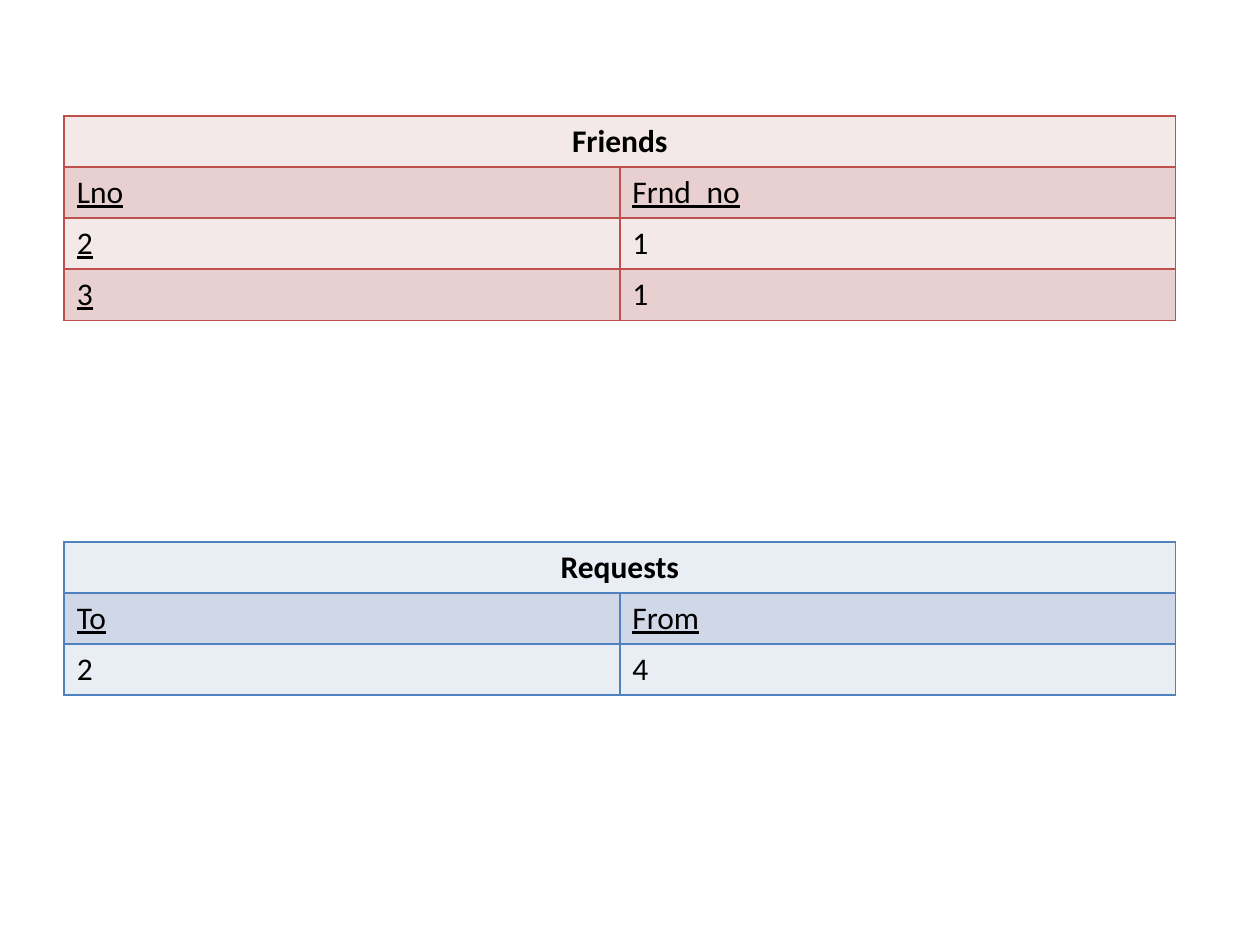
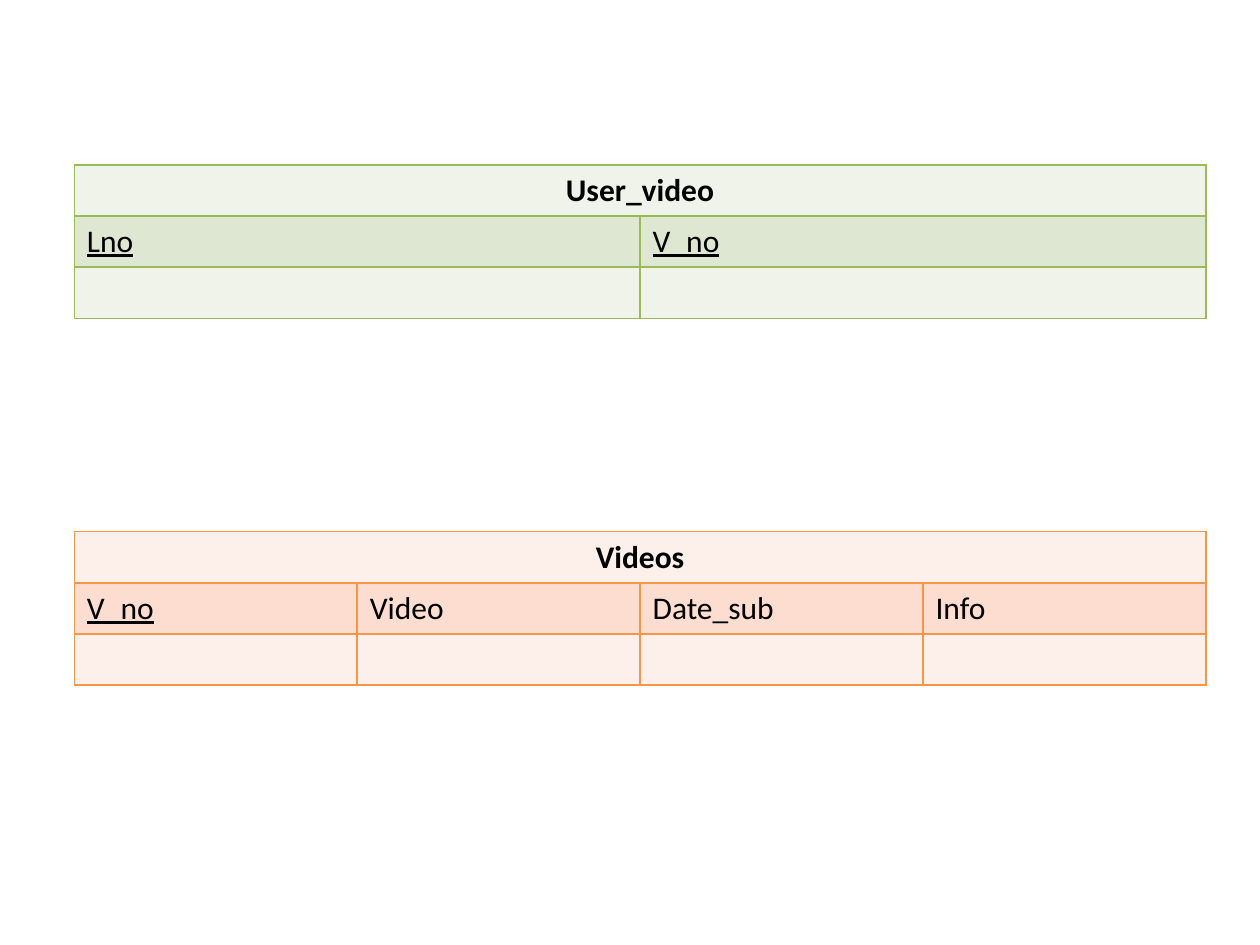
from dataclasses import dataclass

from lxml import etree
from pptx import Presentation
from pptx import util as u
from pptx.dml.color import RGBColor
from pptx.enum import text
from pptx.oxml.ns import qn


@dataclass(frozen=True)
class Palette:
    """Border, light band and dark band of one table."""
    border: str
    light: str
    dark: str


@dataclass(frozen=True)
class Theme:
    """Colours, type and measures shared by the slides."""
    red: Palette = Palette("C0504D", "F4E9E9", "E8D0D0")
    blue: Palette = Palette("4F81BD", "E9EDF4", "D0D8E8")
    green: Palette = Palette("9BBB59", "EFF3EA", "DEE7D1")
    orange: Palette = Palette("F79646", "FDEFE9", "FCDDCF")
    ink: str = "000000"
    font: str = "Calibri"
    size: int = 18
    row_height: float = 0.405
    border_width: int = 1


THEME = Theme()


def set_borders(cell, color):
    """Draw a solid line on all four sides of a cell."""
    tcPr = cell._tc.get_or_add_tcPr()
    for i, side in enumerate(("lnL", "lnR", "lnT", "lnB")):
        ln = etree.Element(qn(f"a:{side}"), w=str(u.Pt(THEME.border_width)))
        fill = etree.SubElement(ln, qn("a:solidFill"))
        etree.SubElement(fill, qn("a:srgbClr"), val=color)
        tcPr.insert(i, ln)


def write_cell(cell, value, **formats):
    """Write one run of text in the theme's type."""
    p = cell.text_frame.paragraphs[0]
    r = p.add_run()
    r.text = value
    formats = {"name": THEME.font, "size": u.Pt(THEME.size), **formats}
    for name, setting in formats.items():
        setattr(r.font, name, setting)
    r.font.color.rgb = RGBColor.from_string(THEME.ink)
    return p


def add_relation(s, box, title, rows, keys, palette):
    """Add a titled, banded table whose key cells are underlined."""
    left, top, width = box
    n_rows, n_cols = len(rows) + 1, len(rows[0])
    table = s.shapes.add_table(
        n_rows, n_cols, u.Inches(left), u.Inches(top),
        u.Inches(width), u.Inches(THEME.row_height * n_rows)).table
    for i, row in enumerate(table.rows):
        row.height = u.Inches(THEME.row_height)
        for cell in row.cells:
            cell.fill.solid()
            band = palette.dark if i % 2 else palette.light
            cell.fill.fore_color.rgb = RGBColor.from_string(band)
            set_borders(cell, palette.border)
    heading = table.cell(0, 0)
    heading.merge(table.cell(0, n_cols - 1))
    write_cell(heading, title, bold=True).alignment = text.PP_ALIGN.CENTER
    for i, values in enumerate(rows, 1):
        for j, value in enumerate(values):
            if value:
                write_cell(table.cell(i, j), value, bold=False,
                           underline=(i, j) in keys)


def add_social_slide(prs, left, width):
    """Build the slide of friends and requests."""
    s = prs.slides.add_slide(prs.slide_layouts[6])
    add_relation(s, (left, 0.92, width), "Friends",
                 [("Lno", "Frnd_no"), ("2", "1"), ("3", "1")],
                 {(1, 0), (1, 1), (2, 0), (3, 0)}, THEME.red)
    add_relation(s, (left, 4.3, width), "Requests",
                 [("To", "From"), ("2", "4")],
                 {(1, 0), (1, 1)}, THEME.blue)


def add_video_slide(prs, left, width):
    """Build the slide of users' videos and video details."""
    s = prs.slides.add_slide(prs.slide_layouts[6])
    add_relation(s, (left, 1.31, width), "User_video",
                 [("Lno", "V_no"), ("",) * 2],
                 {(1, 0), (1, 1)}, THEME.green)
    add_relation(s, (left, 4.22, width), "Videos",
                 [("V_no", "Video", "Date_sub", "Info"), ("",) * 4],
                 {(1, 0)}, THEME.orange)


def main():
    """Build and save the presentation."""
    prs = Presentation()
    prs.slide_width, prs.slide_height = u.Inches(10), u.Inches(7.5)
    add_social_slide(prs, 0.51, 8.82)
    add_video_slide(prs, 0.59, 8.98)
    prs.save("out.pptx")


if __name__ == "__main__":
    main()
